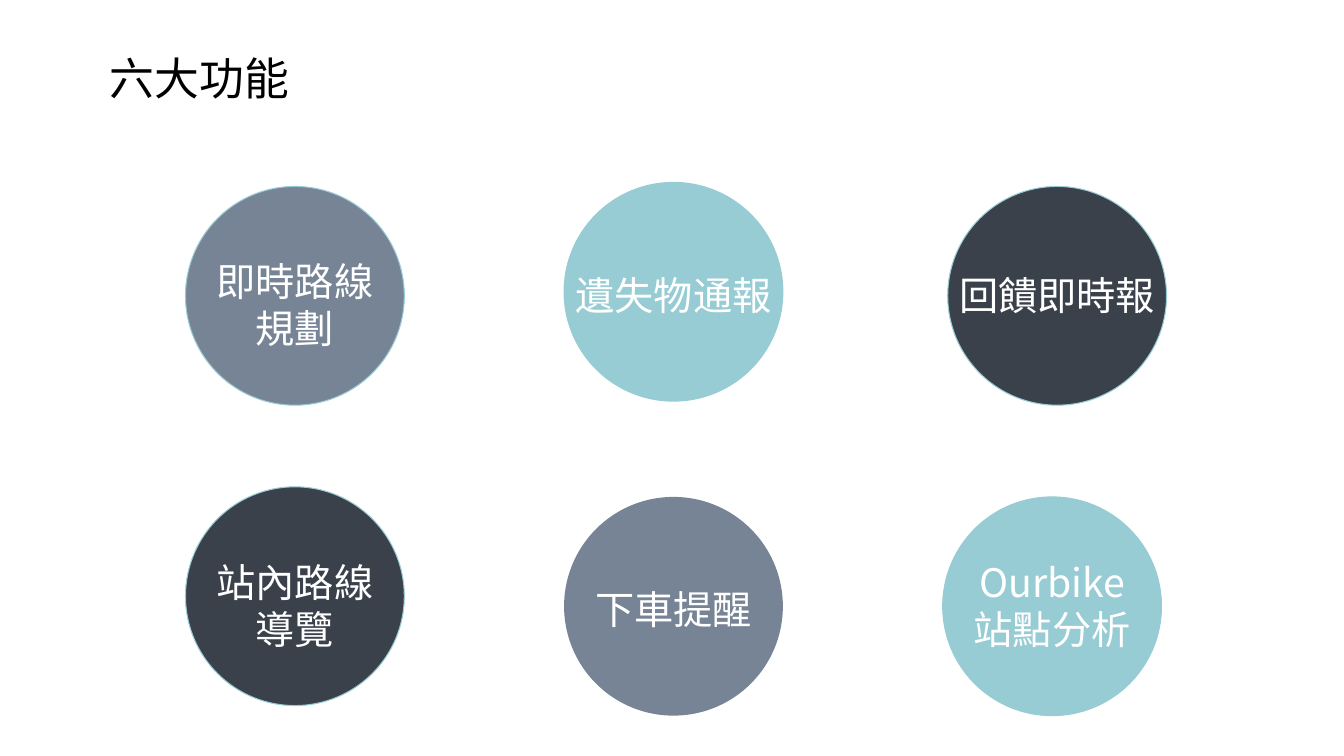
"""Build a slide with six app features shown as labelled circles."""
from pptx import Presentation, util as u
from pptx.dml.color import RGBColor
from pptx.enum import shapes, text
from pptx.oxml.ns import qn
from lxml import etree

THEME = {
    "font": "Noto Sans CJK SC", "title": 32, "label": 28,
    "ink": "000000", "white": "FFFFFF",
    "slate": "778495", "teal": "97CCD4", "dark": "3A414B",
}


def color(name):
    return RGBColor.from_string(THEME[name])


def write(host, words, box, size, ink, inset, align):
    area = host.add_textbox(*[u.Inches(v) for v in box])
    frame = area.text_frame
    frame.word_wrap = True
    frame.auto_size = text.MSO_AUTO_SIZE.SHAPE_TO_FIT_TEXT
    frame.margin_top = frame.margin_bottom = u.Inches(inset)
    para = frame.paragraphs[0]
    para.alignment = align
    run = para.add_run()
    run.text = words
    run.font.size = u.Pt(THEME[size])
    run.font.name = THEME["font"]
    run.font.color.rgb = color(ink)
    east = etree.SubElement(run.font._element, qn("a:ea"))
    east.set("typeface", THEME["font"])


deck = Presentation()
deck.slide_width, deck.slide_height = u.Inches(13.33), u.Inches(7.5)
slide = deck.slides.add_slide(deck.slide_layouts[6])

write(slide.shapes, "六大功能", (0.99, 0.45, 2.87, 0.64),
      "title", "ink", 0.05, text.PP_ALIGN.LEFT)

LEFT, TOP, COL, ROW, SIZE = 1.84, 1.85, 3.755, 3.08, 2.17

# fields: words, fill, edge, shift x, shift y, label width, label top, label height
items = [
    ("即時路線規劃", "slate", "teal", 0, 0, 1.97, 2.45, 1.26),
    ("遺失物通報", "teal", "teal", 0, -0.04, 2.28, 2.59, 0.67),
    ("回饋即時報", "dark", "teal", 0.05, 0, 2.17, 2.59, 0.67),
    ("站內路線導覽", "dark", "teal", 0, -0.1, 1.77, 5.44, 1.78),
    ("下車提醒", "slate", None, 0, 0, 2.02, 5.71, 0.67),
    ("Ourbike站點分析", "teal", "teal", 0, 0, 1.88, 5.44, 1.14),
]

for i, (words, fill, edge, dx, dy, wide, top, tall) in enumerate(items):
    row, col = divmod(i, 3)
    x, y = LEFT + col * COL + dx, TOP + row * ROW + dy
    group = slide.shapes.add_group_shape()
    disc = group.shapes.add_shape(
        shapes.MSO_SHAPE.OVAL, *[u.Inches(v) for v in (x, y, SIZE, SIZE)])
    disc.shadow.inherit = False
    disc.fill.solid()
    disc.fill.fore_color.rgb = color(fill)
    if edge:
        disc.line.color.rgb = color(edge)
        disc.line.width = u.Pt(0.75)
    else:
        disc.line.fill.background()
    write(group.shapes, words, (x + (SIZE - wide) / 2, top, wide, tall),
          "label", "white", 0.1, text.PP_ALIGN.CENTER)

deck.save("out.pptx")
